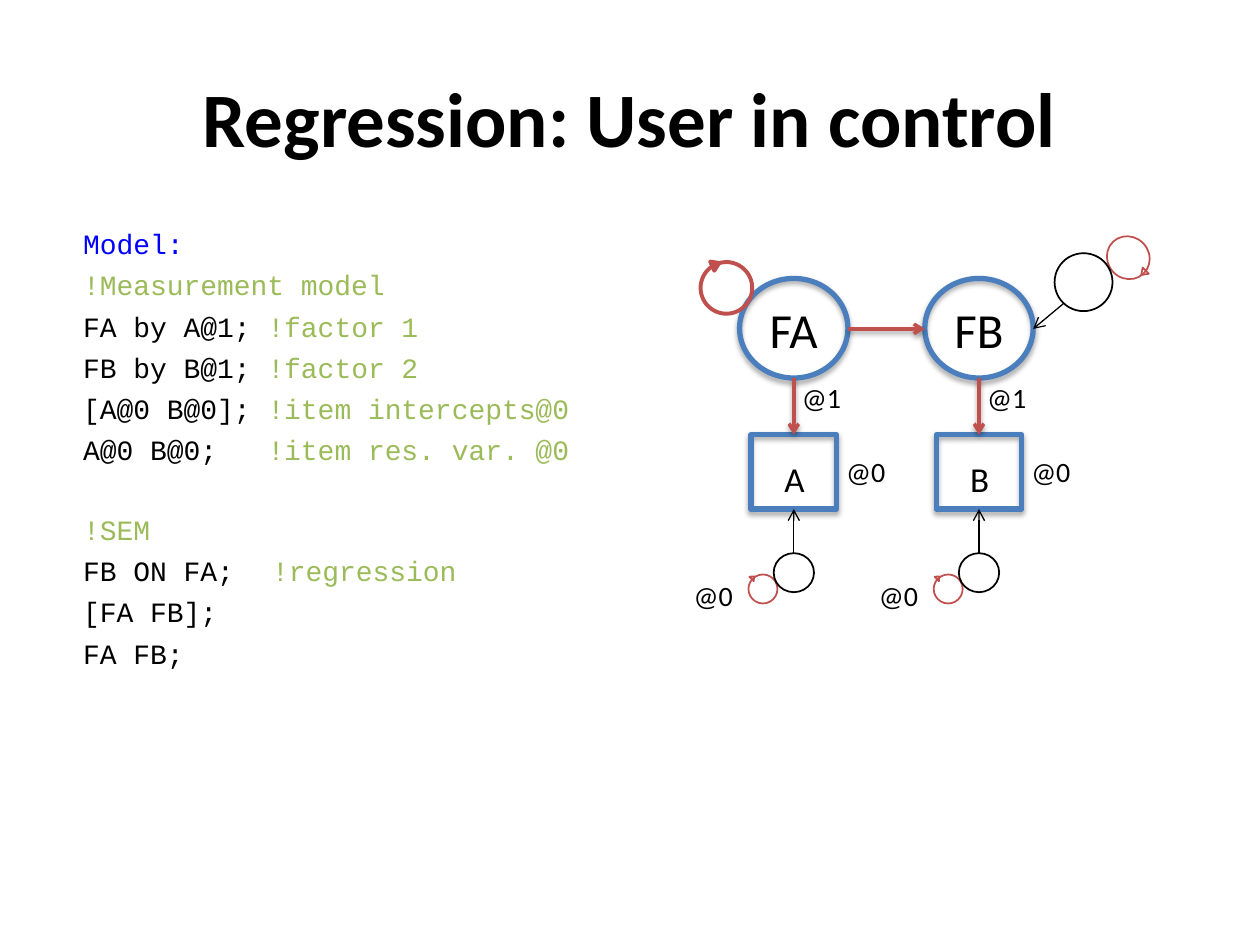
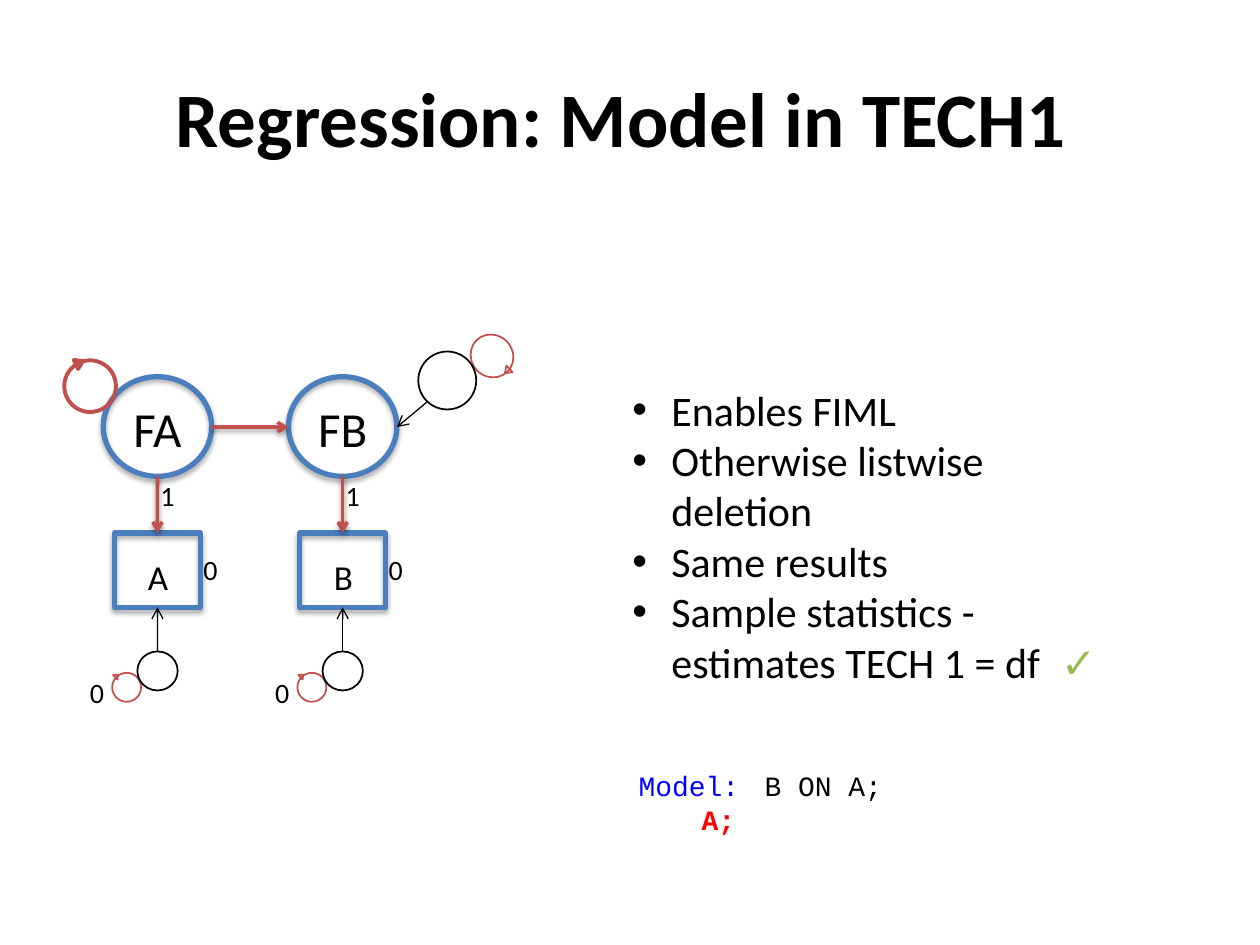
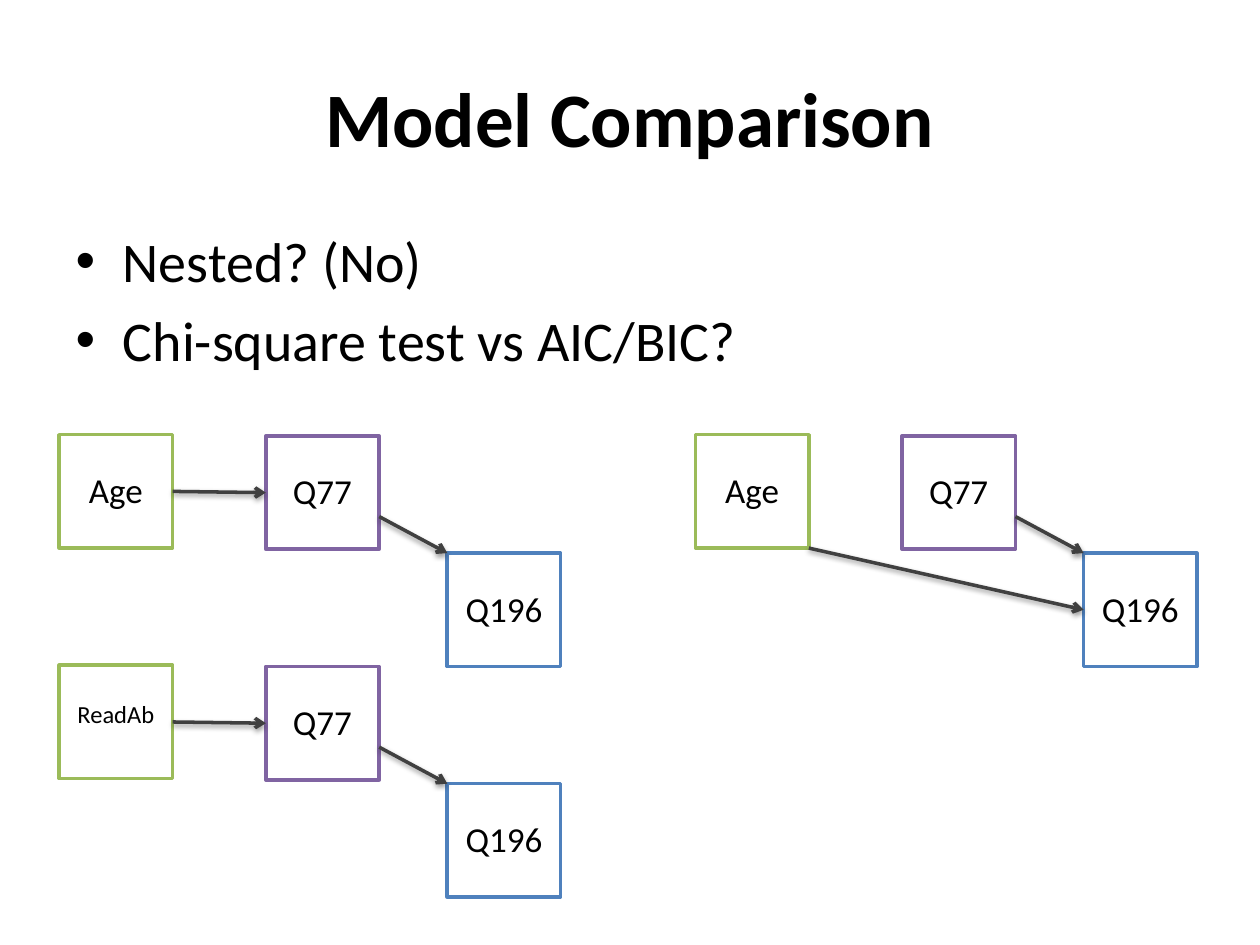
from dataclasses import dataclass

from lxml.etree import SubElement
from pptx import Presentation
from pptx.dml.color import RGBColor
from pptx.enum.shapes import MSO_CONNECTOR, MSO_SHAPE
from pptx.enum.text import MSO_AUTO_SIZE, PP_ALIGN
from pptx.oxml.ns import qn
from pptx.util import Inches, Pt


@dataclass(frozen=True)
class Theme:
    font: str = "Calibri"
    code_font: str = "Courier New"
    symbol_font: str = "Arial"
    black: str = "000000"
    white: str = "FFFFFF"
    keyword: str = "0000FF"
    alert: str = "FF0000"
    green: str = "9BBB59"
    purple: str = "8064A2"
    blue: str = "4F81BD"
    outline: str = "4B7EBC"
    red: str = "C0504D"
    gray: str = "404040"
    title_size: float = 44
    body_size: float = 32
    factor_size: float = 28
    list_size: float = 24
    item_size: float = 20
    code_size: float = 16
    small_size: float = 14
    code_gap: float = 4.3
    code_section_gap: float = 26.7


THEME = Theme()


@dataclass(frozen=True)
class Frame:
    left: float
    top: float
    width: float
    height: float

    def shifted(self, left: float, top: float) -> "Frame":
        return Frame(self.left + left, self.top + top, self.width, self.height)

    def inches(self) -> tuple:
        return tuple(Inches(value) for value in (self.left, self.top, self.width, self.height))


@dataclass(frozen=True)
class Shadow:
    opacity: int
    blur: float
    distance: float


SHAPE_SHADOW = Shadow(35, 3.1, 1.8)
ARROW_SHADOW = Shadow(38, 3.1, 1.6)


@dataclass(frozen=True)
class Span:
    text: str
    color: str = THEME.black
    bold: bool = False
    font: str = ""


@dataclass(frozen=True)
class Loop:
    circle: Frame
    head: Frame
    rotation: float
    weight: float


@dataclass(frozen=True)
class PathLabel:
    text: str
    left: float
    top: float


@dataclass(frozen=True)
class Node:
    text: str
    left: float
    top: float
    color: str
    filled: bool = True
    size: float = THEME.item_size
    label_height: float = 0.44


COLUMN_PITCH = 1.47
COLUMNS = (("FA", "A"), ("FB", "B"))
FACTOR = Frame(0, 0, 0.86, 0.79)
FACTOR_NAME = Frame(0, 0.12, 0.86, 0.57)
ITEM = Frame(0.09, 1.24, 0.68, 0.59)
ITEM_NAME = Frame(0.1, 1.37, 0.67, 0.44)
RESIDUAL = Frame(0.27, 2.18, 0.32, 0.31)
DISTURBANCE = Frame(2.5, -0.2, 0.46, 0.46)
RESIDUAL_LOOP = Loop(Frame(0.07, 2.35, 0.23, 0.23), Frame(0.08, 2.36, 0.05, 0.03), 46, 1)
FACTOR_LOOP = Loop(Frame(-0.31, -0.13, 0.41, 0.41), Frame(-0.23, -0.14, 0.08, 0.06), 65.5, 2.25)
DISTURBANCE_LOOP = Loop(Frame(2.91, -0.33, 0.35, 0.33), Frame(3.17, -0.07, 0.07, 0.05), 226, 1)
NODE_SIDE = 0.9


def format_run(run, size: float, color: str = THEME.black, bold: bool = False, font: str = THEME.font) -> None:
    run.font.name = font
    run.font.size = Pt(size)
    run.font.bold = bold
    run.font.color.rgb = RGBColor.from_string(color)


def fill_paragraph(para, spans: list[Span], size: float, font: str) -> None:
    for span in spans:
        if span.text == "\v":
            para.add_line_break()
            continue
        run = para.add_run()
        run.text = span.text
        format_run(run, size, span.color, span.bold, span.font or font)


def fill_frame(text_frame, lines: list[list[Span]], size: float, font: str, prepare) -> None:
    text_frame.word_wrap = True
    text_frame.auto_size = MSO_AUTO_SIZE.NONE
    for index, spans in enumerate(lines):
        para = text_frame.add_paragraph() if index else text_frame.paragraphs[0]
        prepare(para)
        fill_paragraph(para, spans, size, font)
    text_frame.paragraphs[0].space_before = Pt(0)


def indent(para, left: float, first: float):
    properties = para._p.get_or_add_pPr()
    properties.set("marL", str(Inches(left)))
    properties.set("indent", str(Inches(first)))
    return properties


def code_style(tab: float):
    def prepare(para) -> None:
        properties = indent(para, 0, 0)
        SubElement(properties, qn("a:buNone"))
        stops = SubElement(properties, qn("a:tabLst"))
        SubElement(stops, qn("a:tab"), pos=str(Inches(tab)), algn="l")

    return prepare


def bullet_style(para) -> None:
    properties = indent(para, 0.75, -0.31)
    SubElement(properties, qn("a:buFont"), typeface=THEME.symbol_font)
    SubElement(properties, qn("a:buChar"), char="•")


def inherited_style(para) -> None:
    para.level = 0


def add_page(deck, layout: int, title: str):
    page = deck.slides.add_slide(deck.slide_layouts[layout])
    page.shapes.title.text_frame.text = title
    para = page.shapes.title.text_frame.paragraphs[0]
    para.alignment = PP_ALIGN.CENTER
    format_run(para.runs[0], THEME.title_size, bold=True)
    return page


def add_label(page, frame: Frame, text: str, size: float) -> None:
    box = page.shapes.add_textbox(*frame.inches())
    box.text_frame.word_wrap = True
    box.text_frame.text = text
    para = box.text_frame.paragraphs[0]
    para.alignment = PP_ALIGN.CENTER
    format_run(para.runs[0], size)


def cast_shadow(effects, shadow: Shadow) -> None:
    outer = SubElement(
        effects, qn("a:outerShdw"), blurRad=str(Pt(shadow.blur)), dist=str(Pt(shadow.distance)),
        dir="5400000", rotWithShape="0",
    )
    color = SubElement(outer, qn("a:srgbClr"), val=THEME.black)
    SubElement(color, qn("a:alpha"), val=str(shadow.opacity * 1000))


def add_outline(page, kind, frame: Frame, color: str, weight: float, rotation: float = 0,
                shadow: Shadow | None = None, filled: bool = False):
    shape = page.shapes.add_shape(kind, *frame.inches())
    shape.rotation = rotation
    if filled:
        shape.fill.solid()
        shape.fill.fore_color.rgb = RGBColor.from_string(THEME.white)
    else:
        shape.fill.background()
    shape.line.color.rgb = RGBColor.from_string(color)
    shape.line.width = Pt(weight)
    shape.shadow.inherit = False
    if shadow:
        cast_shadow(shape._element.spPr.find(qn("a:effectLst")), shadow)
    return shape


def add_arrow(page, start: tuple, end: tuple, color: str, weight: float, shadow: Shadow | None = None):
    ends = [Inches(value) for value in (*start, *end)]
    arrow = page.shapes.add_connector(MSO_CONNECTOR.STRAIGHT, *ends)
    arrow.line.color.rgb = RGBColor.from_string(color)
    arrow.line.width = Pt(weight)
    SubElement(arrow.line._get_or_add_ln(), qn("a:tailEnd"), type="arrow")
    effects = SubElement(arrow._element.spPr, qn("a:effectLst"))
    if shadow:
        cast_shadow(effects, shadow)
    return arrow


def add_loop(page, loop: Loop, left: float, top: float) -> None:
    for kind, frame in ((MSO_SHAPE.OVAL, loop.circle), (MSO_SHAPE.ISOSCELES_TRIANGLE, loop.head)):
        add_outline(page, kind, frame.shifted(left, top), THEME.red, loop.weight, loop.rotation)


def add_path_column(page, names: tuple, left: float, top: float, labels: list[PathLabel]) -> None:
    factor_name, item_name = names
    center = left + FACTOR.width / 2
    item = add_outline(page, MSO_SHAPE.RECTANGLE, ITEM.shifted(left, top), THEME.outline, 3, shadow=SHAPE_SHADOW)
    add_outline(page, MSO_SHAPE.OVAL, FACTOR.shifted(left, top), THEME.outline, 3, shadow=SHAPE_SHADOW)
    add_label(page, FACTOR_NAME.shifted(left, top), factor_name, THEME.factor_size)
    add_label(page, ITEM_NAME.shifted(left, top), item_name, THEME.item_size)
    loading = add_arrow(page, (center, top + FACTOR.height), (center, top + ITEM.top), THEME.red, 2, ARROW_SHADOW)
    loading.end_connect(item, 0)
    add_loop(page, RESIDUAL_LOOP, left, top)
    add_outline(page, MSO_SHAPE.OVAL, RESIDUAL.shifted(left, top), THEME.black, 1)
    error = add_arrow(
        page, (center, top + RESIDUAL.top), (center, top + ITEM.top + ITEM.height), THEME.black, 0.75
    )
    error.end_connect(item, 2)
    for label in labels:
        add_label(page, Frame(left + label.left, top + label.top, 0.89, 0.37), label.text, THEME.code_size)


def add_path_diagram(page, left: float, top: float, labels: list[PathLabel]) -> None:
    for index, names in enumerate(COLUMNS):
        add_path_column(page, names, left + index * COLUMN_PITCH, top, labels)
    middle = top + 0.4
    add_arrow(page, (left + FACTOR.width, middle), (left + COLUMN_PITCH, middle), THEME.red, 2, ARROW_SHADOW)
    add_loop(page, FACTOR_LOOP, left, top)
    add_loop(page, DISTURBANCE_LOOP, left, top)
    add_outline(page, MSO_SHAPE.OVAL, DISTURBANCE.shifted(left, top), THEME.black, 1)
    add_arrow(page, (left + 2.57, top + 0.2), (left + 2.33, middle), THEME.black, 0.75)


def add_node(page, node: Node):
    frame = Frame(node.left, node.top, NODE_SIDE, NODE_SIDE)
    shape = add_outline(page, MSO_SHAPE.RECTANGLE, frame, node.color, 2, filled=node.filled)
    add_label(page, Frame(node.left, node.top + 0.22, NODE_SIDE, node.label_height), node.text, node.size)
    return shape


def add_model(page, left: float, top: float, predictor: Node, mediated: bool) -> None:
    mediator = Node("Q77", left + 1.64, top + 0.01, THEME.purple, filled=False)
    outcome = Node("Q196", left + 3.08, top + 0.94, THEME.blue)
    predictor_box, mediator_box, outcome_box = [add_node(page, node) for node in (predictor, mediator, outcome)]
    right = left + NODE_SIDE
    if mediated:
        arrow = add_arrow(page, (right, top + 0.45), (mediator.left, top + 0.46), THEME.gray, 2, ARROW_SHADOW)
        arrow.begin_connect(predictor_box, 3)
        arrow.end_connect(mediator_box, 1)
    else:
        arrow = add_arrow(
            page, (right, top + NODE_SIDE), (outcome.left, outcome.top + 0.45), THEME.gray, 2, ARROW_SHADOW
        )
        arrow.end_connect(outcome_box, 1)
    add_arrow(
        page, (mediator.left + NODE_SIDE, top + 0.65), (outcome.left, outcome.top), THEME.gray, 2, ARROW_SHADOW
    )


def build_control_page(deck) -> None:
    page = add_page(deck, 1, "Regression: User in control")
    body = page.placeholders[1]
    body.left, body.top, body.width, body.height = Frame(0.56, 1.75, 8.94, 4.95).inches()
    code = [
        [Span("Model:", THEME.keyword)],
        [Span("!Measurement model", THEME.green)],
        [Span("FA by A@1; "), Span("!factor 1", THEME.green)],
        [Span("FB by B@1; "), Span("!factor 2", THEME.green)],
        [Span("[A@0 B@0]; "), Span("!item intercepts@0", THEME.green)],
        [Span("A@0 B@0;   "), Span("!item res. var. @0", THEME.green)],
        [Span("!SEM", THEME.green)],
        [Span("FB ON FA; \t"), Span("!regression", THEME.green)],
        [Span("[FA FB];")],
        [Span("FA FB;")],
    ]
    fill_frame(body.text_frame, code, THEME.code_size, THEME.code_font, code_style(1.5))
    for para in body.text_frame.paragraphs[1:]:
        para.space_before = Pt(THEME.code_section_gap if para.text == "!SEM" else THEME.code_gap)
    labels = [PathLabel("@1 ", 0.23, 0.76), PathLabel("@0 ", 0.58, 1.35), PathLabel("@0 ", -0.63, 2.33)]
    add_path_diagram(page, 5.87, 2.21, labels)


def build_tech_page(deck) -> None:
    page = add_page(deck, 5, "Regression: Model in TECH1 ")
    labels = [PathLabel("1 ", 0.09, 0.76), PathLabel("0 ", 0.43, 1.35), PathLabel("0 ", -0.47, 2.32)]
    add_path_diagram(page, 0.82, 2.99, labels)
    points = [
        [Span("Enables FIML")],
        [Span("Otherwise listwise deletion")],
        [Span("Same results")],
        [
            Span("Sample statistics -"),
            Span("\v"),
            Span("estimates TECH 1 = df "),
            Span(" ✓", THEME.green, font=THEME.symbol_font),
        ],
    ]
    box = page.shapes.add_textbox(*Frame(4.48, 3, 4.39, 2.93).inches())
    fill_frame(box.text_frame, points, THEME.list_size, THEME.font, bullet_style)
    code = [
        [Span("Model:", THEME.keyword), Span("\tB ON A;")],
        [Span("\t"), Span("A;", THEME.alert, bold=True)],
    ]
    box = page.shapes.add_textbox(*Frame(4.97, 6.05, 4.44, 1.4).inches())
    fill_frame(box.text_frame, code, THEME.code_size, THEME.code_font, code_style(1))


def build_comparison_page(deck) -> None:
    page = add_page(deck, 1, "Model Comparison")
    points = [[Span("Nested? (No)")], [Span("Chi-square test vs AIC/BIC?")]]
    fill_frame(page.placeholders[1].text_frame, points, THEME.body_size, THEME.font, inherited_style)
    left, right, top, lower = 0.47, 5.52, 3.45, 5.28
    add_model(page, left, top, Node("Age", left, top, THEME.green), mediated=True)
    add_model(page, right, top, Node("Age", right, top, THEME.green), mediated=False)
    ability = Node("ReadAb", left, lower, THEME.green, size=THEME.small_size, label_height=0.34)
    add_model(page, left, lower, ability, mediated=True)


def main() -> None:
    deck = Presentation()
    deck.slide_width, deck.slide_height = Inches(10), Inches(7.5)
    build_control_page(deck)
    build_tech_page(deck)
    build_comparison_page(deck)
    deck.save("out.pptx")


if __name__ == "__main__":
    main()
